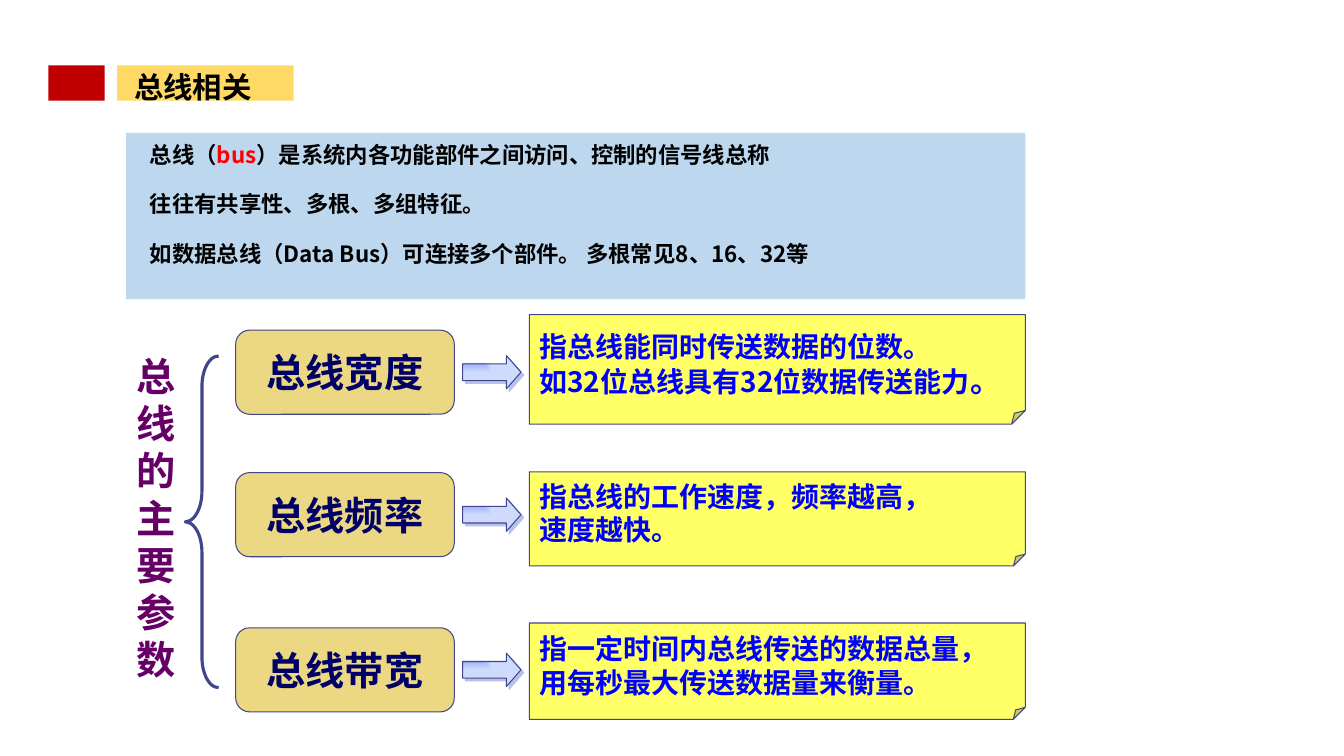
from dataclasses import dataclass

from lxml import etree
from pptx import Presentation
from pptx.dml.color import RGBColor
from pptx.enum.shapes import MSO_SHAPE
from pptx.enum.text import MSO_ANCHOR, PP_ALIGN
from pptx.oxml import parse_xml
from pptx.oxml.ns import qn
from pptx.util import Cm, Pt

RECT = MSO_SHAPE.RECTANGLE
ROUND = MSO_SHAPE.ROUNDED_RECTANGLE
NOTE = MSO_SHAPE.FOLDED_CORNER
ARROW = MSO_SHAPE.RIGHT_ARROW
BRACE = MSO_SHAPE.LEFT_BRACE
TOP, MIDDLE = MSO_ANCHOR.TOP, MSO_ANCHOR.MIDDLE
LEFT, CENTER = PP_ALIGN.LEFT, PP_ALIGN.CENTER
SPACE = "http://schemas.openxmlformats.org/drawingml/2006/main"


@dataclass(frozen=True)
class Theme:
    font: str = "Noto Sans CJK SC"
    side_font: str = "Arial"
    red: str = "C00000"
    gold: str = "FFD966"
    sky: str = "BDD7EE"
    sand: str = "ECD882"
    lemon: str = "FFFF66"
    edge: str = "40458C"
    ink: str = "000000"
    key: str = "FF0000"
    navy: str = "000066"
    blue: str = "0000FF"
    plum: str = "660066"
    deep: str = "6F89F7"
    pale: str = "CFDBFD"
    shade: str = "B7C1EB"
    title: float = 21
    body: float = 16
    label: float = 28
    note: float = 20
    stop: float = 22


T = Theme()


@dataclass(frozen=True)
class Box:
    left: float
    top: float
    width: float
    height: float


@dataclass(frozen=True)
class Span:
    text: str
    size: float
    color: str
    font: str = T.font


@dataclass(frozen=True)
class Row:
    label: str
    mid: float
    top: float
    height: float
    pitch: float
    lines: list[list[Span]]


def draw(slide, kind, box: Box, fill: str = "", line: float = 0):
    shape = slide.shapes.add_shape(
        kind, Cm(box.left), Cm(box.top), Cm(box.width), Cm(box.height))
    shape.shadow.inherit = False
    if fill:
        shape.fill.solid()
        shape.fill.fore_color.rgb = RGBColor.from_string(fill)
    else:
        shape.fill.background()
    if line:
        shape.line.color.rgb = RGBColor.from_string(T.edge)
        shape.line.width = Pt(line)
    else:
        shape.line.fill.background()
    return shape


def bend(shape, **marks: int) -> None:
    """Set the preset's guides, in thousandths of a percent."""
    guides = shape._element.spPr.find(qn("a:prstGeom")).find(qn("a:avLst"))
    for old in list(guides):
        guides.remove(old)
    for name, value in marks.items():
        etree.SubElement(guides, qn("a:gd"), name=name, fmla=f"val {value}")


def style(run, span: Span) -> None:
    font = run.font
    font.size, font.bold, font.name = Pt(span.size), True, span.font
    font.color.rgb = RGBColor.from_string(span.color)
    east = etree.SubElement(run._r.get_or_add_rPr(), qn("a:ea"))
    east.set("typeface", T.font)


def write(shape, lines: list[list[Span]], pitch: float = 0, gap: float = 0,
          anchor=MIDDLE, align=LEFT, wrap: bool = False) -> None:
    frame = shape.text_frame
    frame.word_wrap, frame.vertical_anchor = wrap, anchor
    frame.text = "\n".join(spans[0].text for spans in lines)
    for i, (para, spans) in enumerate(zip(frame.paragraphs, lines)):
        para.alignment = align
        if pitch:
            para.line_spacing = Pt(pitch)
        if i and gap:
            para.space_before = Pt(gap)
        for span in spans[1:]:
            para.add_run().text = span.text
        for run, span in zip(para.runs, spans):
            style(run, span)


def shine(arrow) -> None:
    """Give an arrow its gradient and hard shadow."""
    props = arrow._element.spPr
    fill = parse_xml(
        f'<a:gradFill xmlns:a="{SPACE}" rotWithShape="1"><a:gsLst>'
        f'<a:gs pos="0"><a:srgbClr val="{T.deep}"/></a:gs>'
        f'<a:gs pos="100000"><a:srgbClr val="{T.pale}"/></a:gs></a:gsLst>'
        '<a:path path="rect"><a:fillToRect r="100000" b="100000"/></a:path>'
        '</a:gradFill>')
    props.replace(props.find(qn("a:solidFill")), fill)
    cast = etree.SubElement(
        props.find(qn("a:effectLst")), qn("a:outerShdw"),
        dist=str(int(Pt(2.8))), dir="2700000", algn="ctr", rotWithShape="0")
    etree.SubElement(cast, qn("a:srgbClr"), val=T.shade)


def note(text: str) -> Span:
    return Span(text, T.note, T.blue)


def body(text: str, color: str = T.ink) -> Span:
    return Span(text, T.body, color)


ROWS = [
    Row("总线宽度", 9.38, 7.93, 2.76, 26, [
        [note("指总线能同时传送数据的位数。")],
        [note("如32位总线具有32位数据传送能力"), Span("。", T.stop, T.blue)]]),
    Row("总线频率", 12.97, 11.89, 2.37, 24, [
        [note("指总线的工作速度，频率越高，")], [note("速度越快。")]]),
    Row("总线带宽", 16.88, 15.7, 2.43, 24, [
        [note("指一定时间内总线传送的数据总量，")],
        [note("用每秒最大传送数据量来衡量。")]]),
]
INTRO = [
    [body("总线（"), body("bus", T.key),
     body("）是系统内各功能部件之间访问、控制的信号线总称")],
    [body("往往有共享性、多根、多组特征。")],
    [body("如数据总线（Data Bus）可连接多个部件。 多根常见8、16、32等")],
]


def add_row(slide, row: Row) -> None:
    label = draw(slide, ROUND, Box(5.94, row.mid - 1.06, 5.51, 2.12), T.sand, 0.75)
    write(label, [[Span(row.label, T.label, T.navy)]], align=CENTER)
    arrow = draw(slide, ARROW, Box(11.66, row.mid - 0.42, 1.47, 0.84), T.pale, 0.75)
    bend(arrow, adj1=50000, adj2=43800)
    shine(arrow)
    sheet = draw(slide, NOTE, Box(13.34, row.top, 12.5, row.height), T.lemon, 0.75)
    bend(sheet, adj=12500)
    write(sheet, row.lines, row.pitch)


def main() -> None:
    deck = Presentation()
    deck.slide_width, deck.slide_height = Cm(33.87), Cm(19.05)
    slide = deck.slides.add_slide(deck.slide_layouts[6])
    # Heading
    draw(slide, RECT, Box(1.22, 1.65, 1.42, 0.89), T.red)
    head = draw(slide, RECT, Box(2.95, 1.65, 4.45, 0.89), T.gold)
    write(head, [[Span("总线相关", T.title, T.ink)]], 24)
    frame = head.text_frame
    frame.margin_left, frame.margin_top, frame.margin_bottom = Cm(0.43), Cm(0.2), 0
    # Definition panel
    panel = draw(slide, RECT, Box(3.18, 3.35, 22.66, 4.19), T.sky)
    write(panel, INTRO, 17.7, 17.7, TOP, wrap=True)
    panel.text_frame.margin_left = Cm(0.6)
    panel.text_frame.margin_top = Cm(0.25)
    # Side caption, one character a line, and brace
    side = slide.shapes.add_textbox(Cm(3.18), Cm(8.69), Cm(1.7), Cm(8.56))
    write(side, [[Span("总线的主要参数", T.label, T.plum, T.side_font)]],
          33.6, anchor=TOP, wrap=True)
    side.text_frame.margin_top = Cm(0.2)
    brace = draw(slide, BRACE, Box(4.67, 8.97, 0.84, 8.36), line=2.25)
    bend(brace, adj1=91700, adj2=50000)
    # Parameters
    for row in ROWS:
        add_row(slide, row)
    deck.save("out.pptx")


if __name__ == "__main__":
    main()
